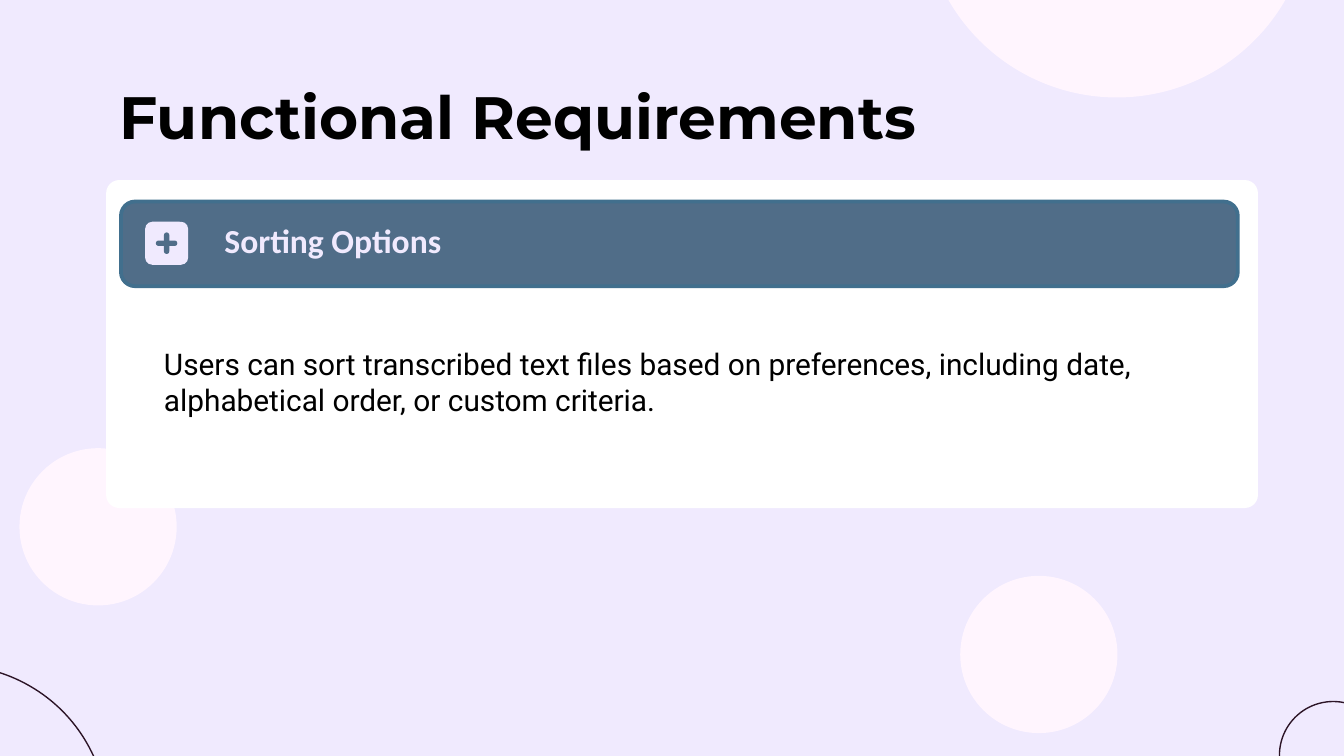
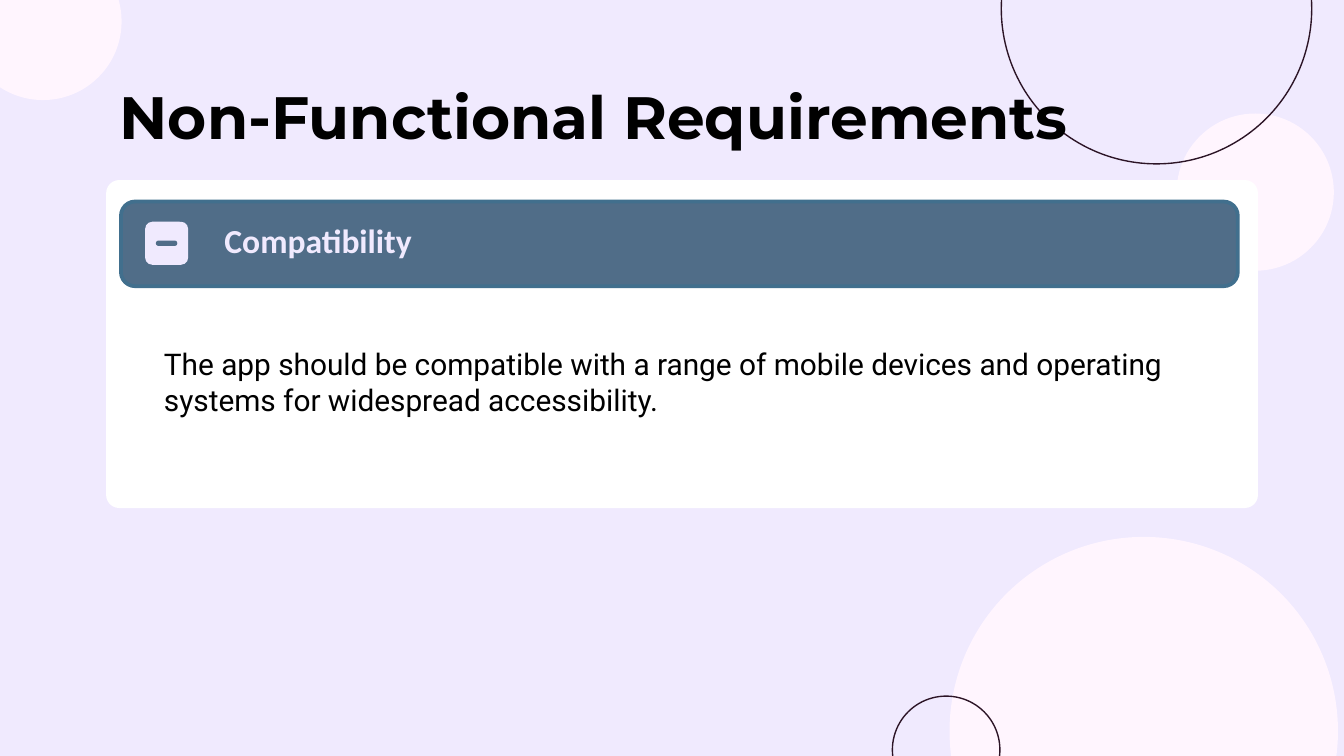
from dataclasses import dataclass

import pptx
import pptx.dml.color
import pptx.enum.shapes
import pptx.enum.text
import pptx.oxml.ns
import pptx.util
from lxml import etree

Inches = pptx.util.Inches
Pt = pptx.util.Pt
Shape = pptx.enum.shapes.MSO_SHAPE
Anchor = pptx.enum.text.MSO_ANCHOR


@dataclass(frozen=True)
class Theme:
    background: str = "F0EAFE"
    blush: str = "FFF5FE"
    outline: str = "2C1426"
    panel: str = "FFFFFF"
    band: str = "506D88"
    band_edge: str = "416F8D"
    text: str = "000000"
    title_font: str = "Montserrat"
    heading_font: str = "Calibri"
    body_font: str = "Roboto"
    title_size: int = 32
    heading_size: int = 18
    body_size: int = 16
    thin_line: float = 0.75
    band_line: float = 2


THEME = Theme()
SLIDE_WIDTH = 10
SLIDE_HEIGHT = SLIDE_WIDTH * 9 / 16
SMALL_DISC, LARGE_DISC = 1.16, 2.88
SMALL_RING, LARGE_RING = 0.8, 2.31

SLIDES = [
    {
        "title": "Functional Requirements",
        "heading": "Sorting Options",
        "body": "Users can sort transcribed text files based on preferences, "
                "including date, alphabetical order, or custom criteria.",
        "icon_angles": (0, 90),
        "discs": [(7.15, 4.29, SMALL_DISC), (6.87, -2.16, LARGE_DISC), (0.15, 3.34, SMALL_DISC)],
        "rings": [(9.52, 5.22, SMALL_RING), (-1.51, 4.95, LARGE_RING)],
    },
    {
        "title": "Non-Functional Requirements",
        "heading": "Compatibility",
        "body": "The app should be compatible with a range of mobile devices "
                "and operating systems for widespread accessibility.",
        "icon_angles": (0,),
        "discs": [(-0.26, -0.42, SMALL_DISC), (7.07, 4, LARGE_DISC), (8.76, 0.85, SMALL_DISC)],
        "rings": [(6.64, 5.18, SMALL_RING), (7.45, -1.09, LARGE_RING)],
    },
]


def color(value):
    return pptx.dml.color.RGBColor.from_string(value)


def add_shape(shapes, kind, box, fill=None, line=None, width=THEME.thin_line, corner=None):
    shape = shapes.add_shape(kind, *map(Inches, box))
    shape.shadow.inherit = False
    if fill:
        shape.fill.solid()
        shape.fill.fore_color.rgb = color(fill)
    else:
        shape.fill.background()
    if line:
        shape.line.color.rgb = color(line)
        shape.line.width = Pt(width)
    else:
        shape.line.fill.background()
    if corner is not None:
        shape.adjustments[0] = corner
    return shape


def fill_placeholder(shape, text, *, box, font, size, ink, bold=False, anchor=Anchor.TOP):
    shape.element.getparent().append(shape.element)
    shape.left, shape.top, shape.width, shape.height = map(Inches, box)
    frame = shape.text_frame
    frame.word_wrap = True
    frame.auto_size = pptx.enum.text.MSO_AUTO_SIZE.NONE
    frame.vertical_anchor = anchor
    frame.margin_left = frame.margin_right = Inches(0.1)
    frame.margin_top = frame.margin_bottom = Inches(0.1)
    paragraph = frame.paragraphs[0]
    paragraph.alignment = pptx.enum.text.PP_ALIGN.LEFT
    paragraph.space_before = Pt(0)
    properties = paragraph._p.get_or_add_pPr()
    properties.set("marL", "0")
    properties.set("indent", "0")
    etree.SubElement(properties, pptx.oxml.ns.qn("a:buNone"))
    run = paragraph.add_run()
    run.text = text
    run.font.name = font
    run.font.size = Pt(size)
    run.font.bold = bold
    run.font.color.rgb = color(ink)


def add_circles(slide, discs, rings):
    for left, top, size in discs:
        add_shape(slide.shapes, Shape.OVAL, (left, top, size, size), THEME.blush, THEME.blush)
    for left, top, size in rings:
        add_shape(slide.shapes, Shape.OVAL, (left, top, size, size), line=THEME.outline)


def add_panel(slide):
    add_shape(slide.shapes, Shape.ROUNDED_RECTANGLE, (0.79, 1.34, 8.57, 2.44),
              THEME.panel, corner=0.04)
    add_shape(slide.shapes, Shape.ROUNDED_RECTANGLE, (0.9, 1.5, 8.31, 0.63),
              THEME.band, THEME.band_edge, THEME.band_line)


def add_icon(slide, angles):
    group = slide.shapes.add_group_shape()
    add_shape(group.shapes, Shape.ROUNDED_RECTANGLE, (1.08, 1.65, 0.32, 0.32), THEME.background)
    for angle in angles:
        bar = add_shape(group.shapes, Shape.ROUNDED_RECTANGLE, (1.16, 1.79, 0.16, 0.04),
                        THEME.band, corner=0.5)
        bar.rotation = angle


def add_requirement_slide(presentation, content):
    slide = presentation.slides.add_slide(presentation.slide_layouts.get_by_name("Two Content"))
    title, body, heading = slide.placeholders
    add_circles(slide, content["discs"], content["rings"])
    add_panel(slide)
    fill_placeholder(title, content["title"], box=(0.79, 0.49, 8.43, 0.63),
                     font=THEME.title_font, size=THEME.title_size, ink=THEME.text, bold=True)
    fill_placeholder(body, content["body"], box=(1.12, 2.47, 7.77, 0.71),
                     font=THEME.body_font, size=THEME.body_size, ink=THEME.text)
    fill_placeholder(heading, content["heading"], box=(1.57, 1.58, 4.06, 0.46),
                     font=THEME.heading_font, size=THEME.heading_size, ink=THEME.background,
                     bold=True, anchor=Anchor.BOTTOM)
    add_icon(slide, content["icon_angles"])


def main():
    presentation = pptx.Presentation()
    presentation.slide_width = Inches(SLIDE_WIDTH)
    presentation.slide_height = Inches(SLIDE_HEIGHT)
    background = presentation.slide_master.background.fill
    background.solid()
    background.fore_color.rgb = color(THEME.background)
    for content in SLIDES:
        add_requirement_slide(presentation, content)
    presentation.save("out.pptx")


if __name__ == "__main__":
    main()
